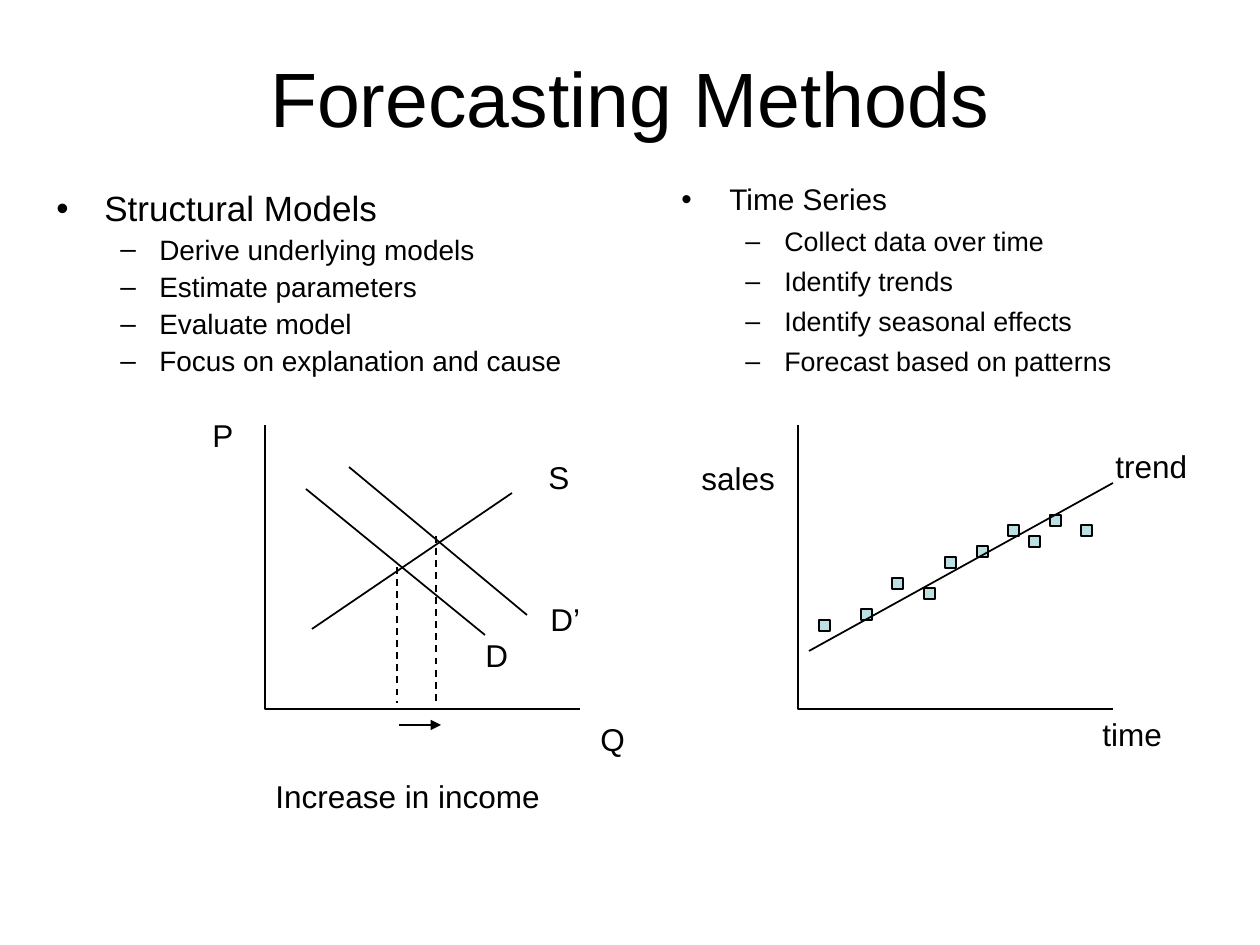
"""Build the Forecasting Methods slide with its two bullet lists and two diagrams."""
from typing import NamedTuple

from lxml.etree import SubElement
from pptx import Presentation
from pptx.dml.color import RGBColor
from pptx.enum.dml import MSO_LINE
from pptx.enum.shapes import MSO_CONNECTOR, MSO_SHAPE
from pptx.enum.text import MSO_ANCHOR, MSO_AUTO_SIZE, PP_ALIGN
from pptx.oxml.ns import qn
from pptx.util import Emu, Pt

COLORS = {"ink": "000000", "paper": "FFFFFF", "marker": "BBE0E3"}
FONT = "Arial"
MARKER_SIZE = 11
AXIS_TOP, AXIS_HEIGHT, AXIS_WIDTH = 425, 284, 315


class Label(NamedTuple):
    text: str
    left: int
    top: int
    width: int


class Segment(NamedTuple):
    x1: int
    y1: int
    x2: int
    y2: int
    dashed: bool = False
    arrow: bool = False


class BulletLevel(NamedTuple):
    char: str
    size: float
    margin: int
    hanging: int
    before: float


class BulletList(NamedTuple):
    left: int
    top: int
    width: int
    height: int
    spacing: float
    heading: BulletLevel
    point: BulletLevel
    lines: tuple[str, ...]


LISTS = (
    BulletList(44, 185, 556, 221, 0.9,
               BulletLevel("•", 20, 48, 48, 0), BulletLevel("–", 16, 103, 39, 4),
               ("Structural Models", "Derive underlying models", "Estimate parameters",
                "Evaluate model", "Focus on explanation and cause")),
    BulletList(669, 175, 536, 221, 1.0,
               BulletLevel("•", 17, 48, 48, 0), BulletLevel("–", 15.3, 103, 39, 4.5),
               ("Time Series", "Collect data over time", "Identify trends",
                "Identify seasonal effects", "Forecast based on patterns")),
)
AXES = (265, 798)
CURVES = (
    Segment(312, 629, 512, 493),
    Segment(306, 489, 485, 635),
    Segment(349, 467, 527, 615),
    Segment(397, 567, 397, 703, dashed=True),
    Segment(436, 536, 436, 703, dashed=True),
    Segment(399, 725, 441, 725, arrow=True),
)
TREND = Segment(809, 651, 1113, 483)
LABELS = (
    Label("Q", 588, 714, 52),
    Label("P", 200, 410, 48),
    Label("S", 536, 452, 48),
    Label("D", 473, 630, 51),
    Label("D’", 538, 594, 60),
    Label("Increase in income", 263, 771, 294),
    Label("time", 1090, 709, 90),
    Label("sales", 689, 453, 104),
    Label("trend", 1103, 441, 101),
)
SALES = (
    (819, 620), (861, 609), (892, 578), (924, 588), (945, 557),
    (977, 546), (1008, 525), (1029, 536), (1050, 515), (1081, 525),
)


def px(length: int) -> Emu:
    """Turn pixels into EMU."""
    return Emu(round(length * 914400 / 126))


def color(name: str) -> RGBColor:
    """Look up a named colour."""
    return RGBColor.from_string(COLORS[name])


def add_span(para, text: str, size: float) -> None:
    """Add one styled run to a paragraph."""
    span = para.add_run()
    span.text = text
    span.font.name = FONT
    span.font.size = Pt(size)
    span.font.color.rgb = color("ink")


def add_box(page, left: int, top: int, width: int, height: int):
    """Add an empty text box that wraps."""
    box = page.shapes.add_textbox(px(left), px(top), px(width), px(height))
    box.text_frame.word_wrap = True
    return box


def draw_title(page, text: str) -> None:
    """Draw the centred slide title."""
    frame = add_box(page, 63, 38, 1134, 117).text_frame
    frame.vertical_anchor = MSO_ANCHOR.MIDDLE
    para = frame.paragraphs[0]
    para.alignment = PP_ALIGN.CENTER
    add_span(para, text, 44)


def draw_list(page, item: BulletList) -> None:
    """Draw a heading bullet followed by its points."""
    frame = add_box(page, item.left, item.top, item.width, item.height).text_frame
    for index, text in enumerate(item.lines):
        para = frame.add_paragraph() if index else frame.paragraphs[0]
        level = item.point if index else item.heading
        para.level = min(index, 1)
        para.line_spacing = item.spacing
        para.space_before = Pt(level.before)
        properties = para._p.get_or_add_pPr()
        properties.set("marL", str(px(level.margin)))
        properties.set("indent", str(-px(level.hanging)))
        SubElement(properties, qn("a:buFont"), typeface=FONT)
        SubElement(properties, qn("a:buChar"), char=level.char)
        add_span(para, text, level.size)


def draw_label(page, label: Label) -> None:
    """Draw a short diagram label."""
    frame = add_box(page, label.left, label.top, label.width, 50).text_frame
    frame.word_wrap = False
    frame.auto_size = MSO_AUTO_SIZE.NONE
    add_span(frame.paragraphs[0], label.text, 18)


def style_line(line) -> None:
    """Give an outline the common ink and weight."""
    line.color.rgb = color("ink")
    line.width = Pt(1)


def draw_axes(page, left: int) -> None:
    """Draw an L-shaped pair of axes."""
    bottom = AXIS_TOP + AXIS_HEIGHT
    builder = page.shapes.build_freeform(px(left), px(AXIS_TOP))
    builder.add_line_segments(
        [(px(left), px(bottom)), (px(left + AXIS_WIDTH), px(bottom))], close=False)
    axes = builder.convert_to_shape()
    axes.shadow.inherit = False
    axes.fill.background()
    style_line(axes.line)


def draw_segment(page, segment: Segment) -> None:
    """Draw a straight line, dashed or with an arrowhead if asked."""
    connector = page.shapes.add_connector(
        MSO_CONNECTOR.STRAIGHT, px(segment.x1), px(segment.y1), px(segment.x2), px(segment.y2))
    style_line(connector.line)
    if segment.dashed:
        connector.line.dash_style = MSO_LINE.DASH
    if segment.arrow:
        SubElement(connector.line._get_or_add_ln(), qn("a:tailEnd"), type="triangle")
    SubElement(connector._element.spPr, qn("a:effectLst"))


def draw_marker(page, left: int, top: int) -> None:
    """Draw one square data point."""
    marker = page.shapes.add_shape(
        MSO_SHAPE.RECTANGLE, px(left), px(top), px(MARKER_SIZE), px(MARKER_SIZE))
    marker.shadow.inherit = False
    marker.fill.solid()
    marker.fill.fore_color.rgb = color("marker")
    style_line(marker.line)


def main() -> None:
    """Assemble and save the deck."""
    deck = Presentation()
    deck.slide_width, deck.slide_height = px(1260), px(945)
    page = deck.slides.add_slide(deck.slide_layouts[6])
    page.background.fill.solid()
    page.background.fill.fore_color.rgb = color("paper")
    draw_title(page, "Forecasting Methods")
    for item in LISTS:
        draw_list(page, item)
    for left in AXES:
        draw_axes(page, left)
    for left, top in SALES:
        draw_marker(page, left, top)
    for segment in (*CURVES, TREND):
        draw_segment(page, segment)
    for label in LABELS:
        draw_label(page, label)
    deck.save("out.pptx")


if __name__ == "__main__":
    main()
